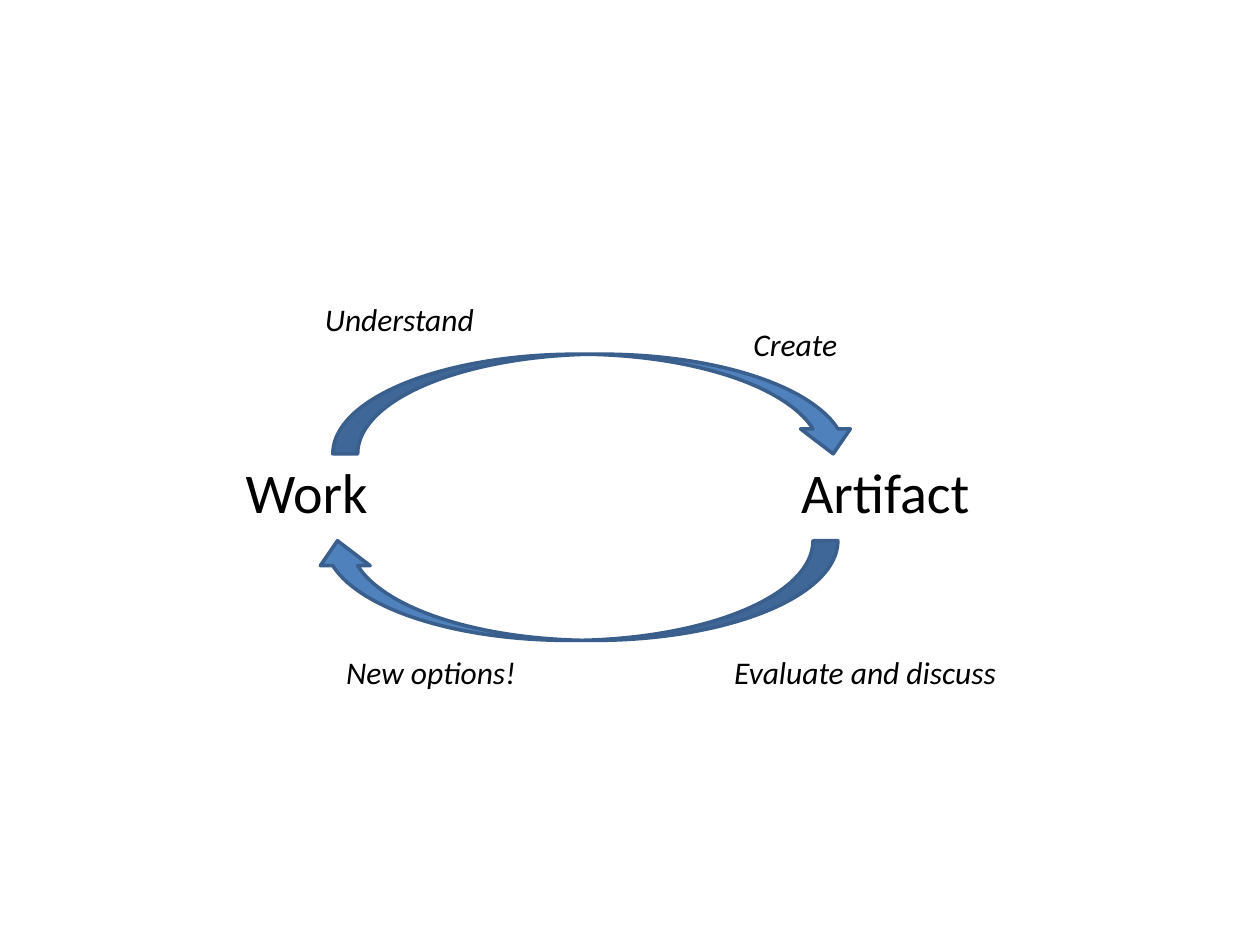
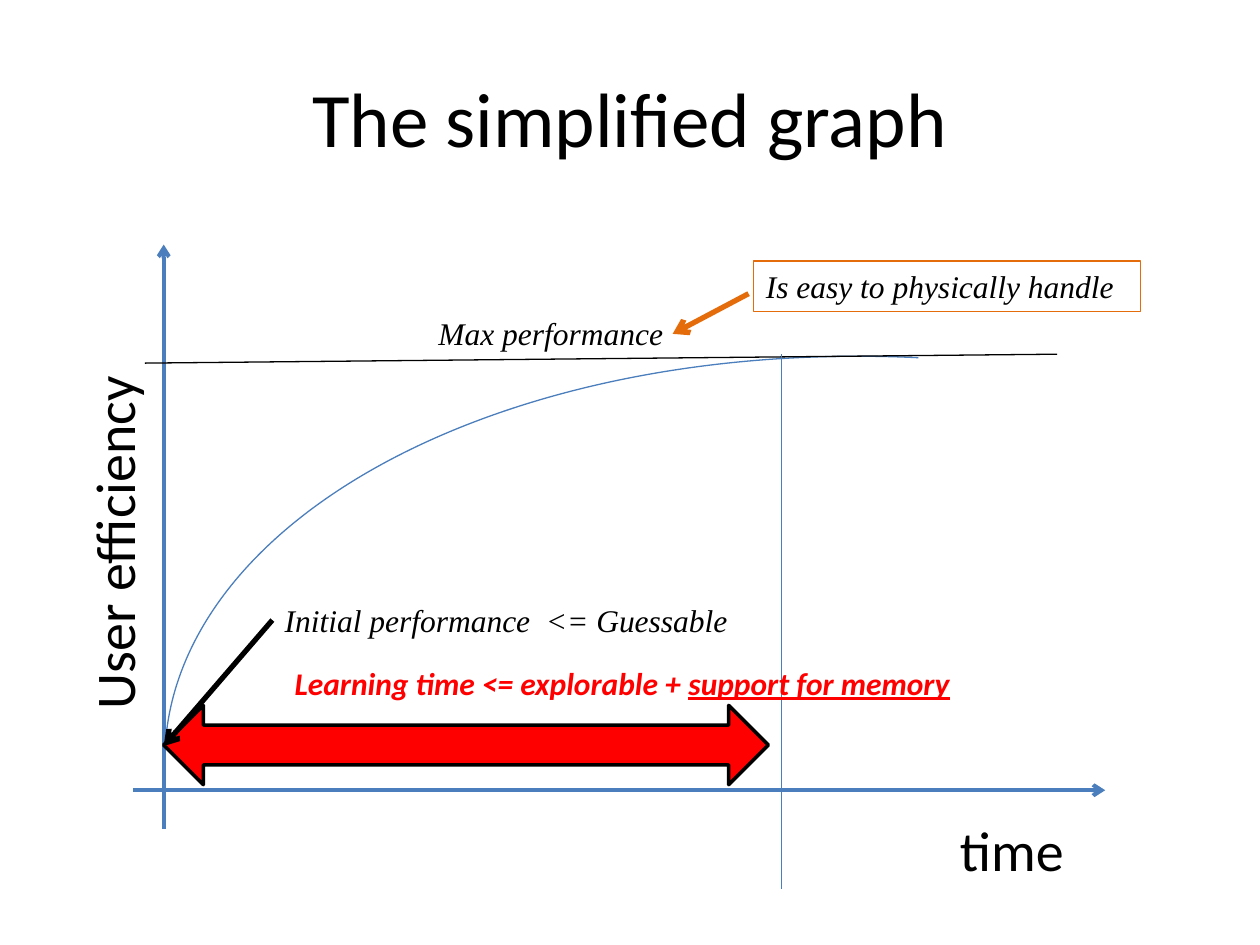
from lxml.etree import SubElement
from pptx import Presentation
from pptx.dml.color import RGBColor
from pptx.enum.shapes import MSO_CONNECTOR as Connector, MSO_SHAPE as Preset
from pptx.enum.text import MSO_ANCHOR as Anchor, MSO_AUTO_SIZE as AutoSize, PP_ALIGN as Align
from pptx.oxml.ns import qn
from pptx.util import Cm, Pt

COLORS = {
    "text": "000000",
    "arrow": "4F81BD",
    "arrow_edge": "3A5F8C",
    "graph": "4B7EBC",
    "learning": "FF0000",
    "handling": "E46C0A",
}
SANS, SERIF = "Calibri", "Times New Roman"
LARGE, SMALL = 32, 18
LARGE_HEIGHT, SMALL_HEIGHT = 1.63, 1.02


def add_text(slide, runs, left, top, width, height, size,
             font=SANS, color="text", italic=False, bold=False):
    """Add a wrapping text box with one paragraph; runs is a list of strings."""
    box = slide.shapes.add_textbox(Cm(left), Cm(top), Cm(width), Cm(height))
    frame = box.text_frame
    frame.word_wrap = True
    frame.auto_size = AutoSize.SHAPE_TO_FIT_TEXT
    for text in runs:
        run = frame.paragraphs[0].add_run()
        run.text = text
        run.font.name = font
        run.font.size = Pt(size)
        run.font.italic = italic
        run.font.bold = bold
        run.font.color.rgb = RGBColor.from_string(COLORS[color])
    return box


def add_line(slide, start, end, color, weight, arrow=False):
    line = slide.shapes.add_connector(
        Connector.STRAIGHT, *(Cm(value) for value in start + end))
    line.line.color.rgb = RGBColor.from_string(COLORS[color])
    line.line.width = Pt(weight)
    properties = line._element.spPr
    if arrow:
        SubElement(properties.find(qn("a:ln")), qn("a:tailEnd"), type="arrow")
    SubElement(properties, qn("a:effectLst"))
    return line


presentation = Presentation()
presentation.slide_width, presentation.slide_height = Cm(25.4), Cm(19.05)
blank_layout = presentation.slide_layouts[6]

# Slide 1: the cycle between work and artifact
cycle_slide = presentation.slides.add_slide(blank_layout)
for text, left in (("Work", 4.7), ("Artifact", 15.9)):
    add_text(cycle_slide, [text], left, 9.09, 5.79, LARGE_HEIGHT, LARGE)

for left, top, rotation in ((6.71, 7.14, 0), (6.3, 10.9, 180)):
    shape = cycle_slide.shapes.add_shape(
        Preset.CURVED_DOWN_ARROW, Cm(left), Cm(top), Cm(10.59), Cm(2.01))
    shape.rotation = rotation
    shape.shadow.inherit = False
    shape.fill.solid()
    shape.fill.fore_color.rgb = RGBColor.from_string(COLORS["arrow"])
    shape.line.color.rgb = RGBColor.from_string(COLORS["arrow_edge"])
    shape.line.width = Pt(2)

for text, left, top, width in (
    ("Understand", 6.3, 5.92, 3.81),
    ("Evaluate and discuss", 14.55, 13.03, 6.76),
    ("Create", 14.94, 6.43, 3.81),
    ("New options!", 6.73, 13.03, 6.76),
):
    add_text(cycle_slide, [text], left, top, width, SMALL_HEIGHT, SMALL, italic=True)

# Slide 2: the learning curve
graph_slide = presentation.slides.add_slide(blank_layout)
title = add_text(graph_slide, ["The simplified graph"], 1.27, 0.76, 22.86, 3.18, 44)
title.text_frame.auto_size = AutoSize.NONE
title.text_frame.vertical_anchor = Anchor.MIDDLE
title.text_frame.paragraphs[0].alignment = Align.CENTER

add_line(graph_slide, (3.3, 16.71), (3.3, 4.93), "graph", 2.25, arrow=True)
add_line(graph_slide, (2.69, 15.93), (22.28, 15.93), "graph", 2.25, arrow=True)
add_text(graph_slide, ["time"], 19.1, 16.31, 6.02, LARGE_HEIGHT, LARGE)
efficiency_label = add_text(
    graph_slide, ["User efficiency"], -2.13, 9.32, 8.84, LARGE_HEIGHT, LARGE)
efficiency_label.rotation = 270

for preset, left, top, width, height, rotation, fill, edge, weight in (
    (Preset.ARC, 9.47, 1.04, 17.25, 29.57, 272.8, None, "graph", 0.75),
    (Preset.LEFT_RIGHT_ARROW, 3.3, 14.22, 12.19, 1.6, 0, "learning", "text", 2),
):
    shape = graph_slide.shapes.add_shape(
        preset, Cm(left), Cm(top), Cm(width), Cm(height))
    shape.rotation = rotation
    shape.shadow.inherit = False
    if fill:
        shape.fill.solid()
        shape.fill.fore_color.rgb = RGBColor.from_string(COLORS[fill])
    else:
        shape.fill.background()
    shape.line.color.rgb = RGBColor.from_string(COLORS[edge])
    shape.line.width = Pt(weight)

add_line(graph_slide, (2.92, 7.32), (21.31, 7.14), "text", 0.75)
add_line(graph_slide, (15.75, 7.14), (15.75, 17.93), "graph", 0.75)

learning_label = add_text(
    graph_slide, ["Learning time <= explorable + ", "support for memory"],
    5.69, 13.26, 14.4, SMALL_HEIGHT, SMALL, color="learning", italic=True, bold=True)
learning_label.text_frame.paragraphs[0].runs[-1].font.underline = True

initial_label, maximum_label, handling_label = [
    add_text(graph_slide, [text], left, top, width, SMALL_HEIGHT, SMALL, SERIF, italic=True)
    for text, left, top, width in (
        ("Initial performance  <= Guessable", 5.49, 11.99, 12.62),
        ("Max performance", 8.59, 6.2, 7.82),
        ("Is easy to physically handle", 15.19, 5.26, 7.8),
    )
]
handling_label.line.color.rgb = RGBColor.from_string(COLORS["handling"])
handling_label.line.width = Pt(0.75)

initial_arrow = add_line(graph_slide, (5.49, 12.5), (3.3, 15.04), "text", 3, arrow=True)
initial_arrow.begin_connect(initial_label, 1)
add_line(graph_slide, (15.09, 5.92), (13.56, 6.73), "handling", 3, arrow=True)

presentation.save("out.pptx")
